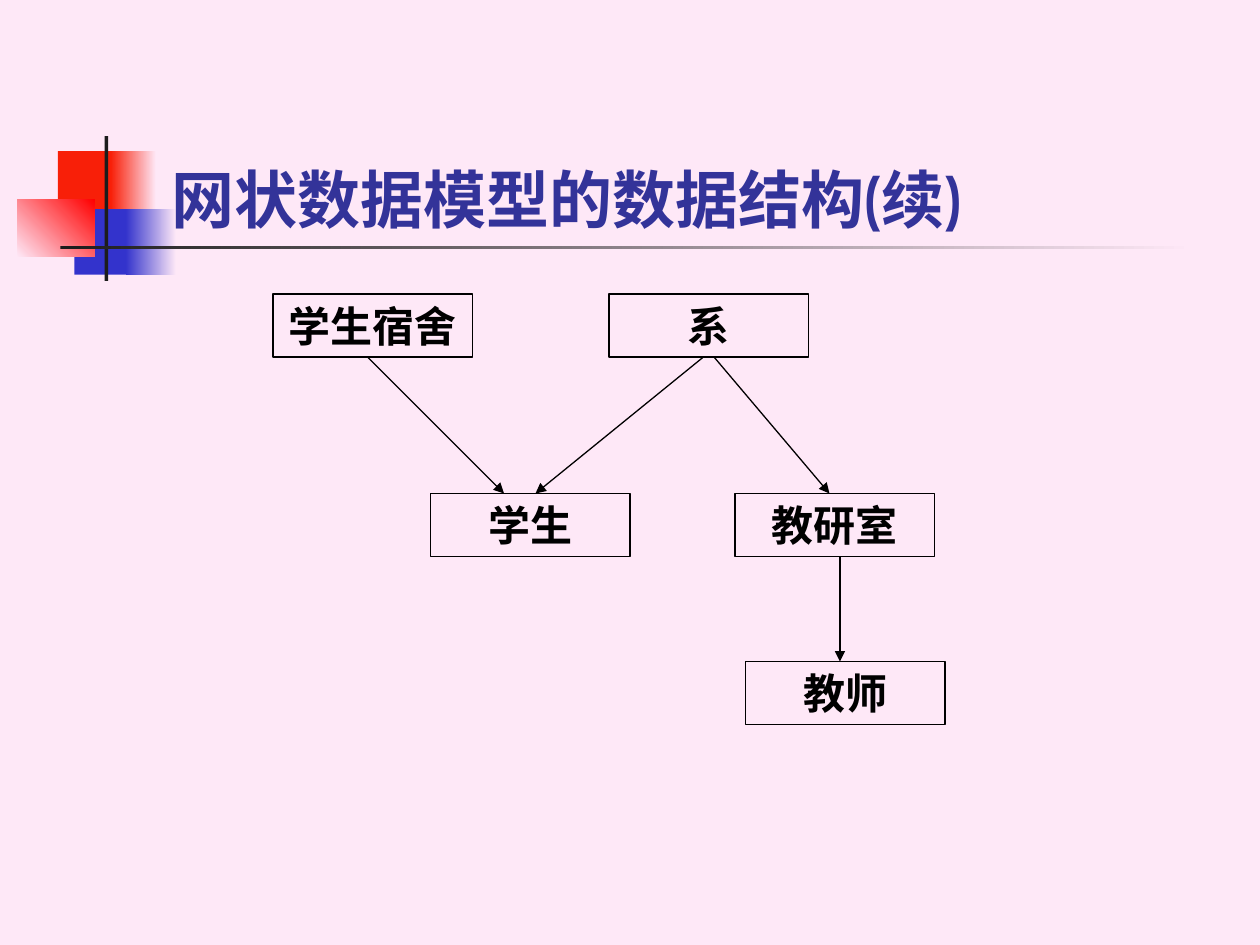
"""Build the slide on the network data model and its record hierarchy."""
from dataclasses import dataclass

from lxml import etree
from pptx import Presentation
from pptx import util as u
from pptx.dml.color import RGBColor
from pptx.enum import shapes, text
from pptx.oxml import ns


@dataclass(frozen=True)
class Theme:
    page: str = "FEE8F7"
    red: str = "F81F08"
    bright: str = "FF0000"
    blue: str = "3333CC"
    dark: str = "1C1C1C"
    title: str = "333399"
    ink: str = "000000"
    title_font: str = "Cabin"
    box_font: str = "Times New Roman"
    title_size: int = 36
    box_size: int = 24
    line: float = 0.75


THEME = Theme()
WIDTH, HEIGHT = 10, 7.5
CELLS_PER_INCH = 12
BOX_COLUMNS, BOX_ROWS = 19, 6

TITLE = "网状数据模型的数据结构(续)"
TITLE_PLACE = (1.26, 0.67, 8.52, 1.25)

ORNAMENTS = [
    ((0.46, 1.2, 0.48, 0.52), (THEME.red,), 0),
    ((0.88, 1.2, 0.36, 0.52), (THEME.red, THEME.page), 0),
    ((0.59, 1.66, 0.46, 0.52), (THEME.blue,), 0),
    ((1, 1.66, 0.4, 0.52), (THEME.blue, THEME.page), 0),
    ((0.14, 1.58, 0.61, 0.46), (THEME.page, THEME.bright), 45),
    ((0.83, 1.08, 0.03, 1.15), (THEME.dark,), 0),
    ((0.48, 1.95, 9, 0.03), (THEME.dark, THEME.page), 0),
]

RECORDS = {
    "学生宿舍": (26, 28),
    "学生": (41, 47),
    "教研室": (70, 47),
    "系": (58, 28),
    "教师": (71, 63),
}

LINKS = [
    ("学生宿舍", 35, "学生", 48),
    ("系", 67, "学生", 51),
    ("系", 68, "教研室", 79),
    ("教研室", 80, "教师", 80),
]


def inches(values):
    return [u.Inches(value) for value in values]


def grid(*cells):
    return inches(cell / CELLS_PER_INCH for cell in cells)


def rgb(value):
    return RGBColor.from_string(value)


def write(shape, words, *, font, size, color, align, anchor):
    frame = shape.text_frame
    frame.word_wrap = True
    frame.auto_size = text.MSO_AUTO_SIZE.NONE
    frame.vertical_anchor = anchor
    para = frame.paragraphs[0]
    para.alignment = align
    span = para.add_run()
    span.text = words
    span.font.name = font
    span.font.size = u.Pt(size)
    span.font.bold = True
    span.font.color.rgb = rgb(color)


def add_rectangle(page, place):
    box = page.shapes.add_shape(shapes.MSO_SHAPE.RECTANGLE, *place)
    box.shadow.inherit = False
    return box


def add_ornament(page, place, colors, angle):
    block = add_rectangle(page, inches(place))
    block.line.fill.background()
    if len(colors) == 1:
        block.fill.solid()
        block.fill.fore_color.rgb = rgb(colors[0])
        return
    block.fill.gradient()
    block.fill.gradient_angle = angle
    for stop, color, position in zip(block.fill.gradient_stops, colors, (0, 1)):
        stop.color.rgb = rgb(color)
        stop.position = position


def draw_line(line):
    line.color.rgb = rgb(THEME.ink)
    line.width = u.Pt(THEME.line)


def add_record(page, name, column, row):
    box = add_rectangle(page, grid(column, row, BOX_COLUMNS, BOX_ROWS))
    box.fill.background()
    draw_line(box.line)
    write(box, name, font=THEME.box_font, size=THEME.box_size, color=THEME.ink,
          align=text.PP_ALIGN.CENTER, anchor=text.MSO_ANCHOR.MIDDLE)


def add_link(page, parent, start, child, end):
    top = RECORDS[parent][1] + BOX_ROWS
    bottom = RECORDS[child][1]
    arrow = page.shapes.add_connector(
        shapes.MSO_CONNECTOR.STRAIGHT, *grid(start, top, end, bottom))
    draw_line(arrow.line)
    properties = arrow.element.spPr
    outline = properties.find(ns.qn("a:ln"))
    etree.SubElement(outline, ns.qn("a:tailEnd"), type="triangle")
    etree.SubElement(properties, ns.qn("a:effectLst"))


def main():
    deck = Presentation()
    deck.slide_width, deck.slide_height = inches((WIDTH, HEIGHT))
    page = deck.slides.add_slide(deck.slide_layouts[6])
    page.background.fill.solid()
    page.background.fill.fore_color.rgb = rgb(THEME.page)
    for ornament in ORNAMENTS:
        add_ornament(page, *ornament)
    title = page.shapes.add_textbox(*inches(TITLE_PLACE))
    write(title, TITLE, font=THEME.title_font, size=THEME.title_size,
          color=THEME.title, align=text.PP_ALIGN.LEFT,
          anchor=text.MSO_ANCHOR.BOTTOM)
    for name, (column, row) in RECORDS.items():
        add_record(page, name, column, row)
    for link in LINKS:
        add_link(page, *link)
    deck.save("out.pptx")


if __name__ == "__main__":
    main()
